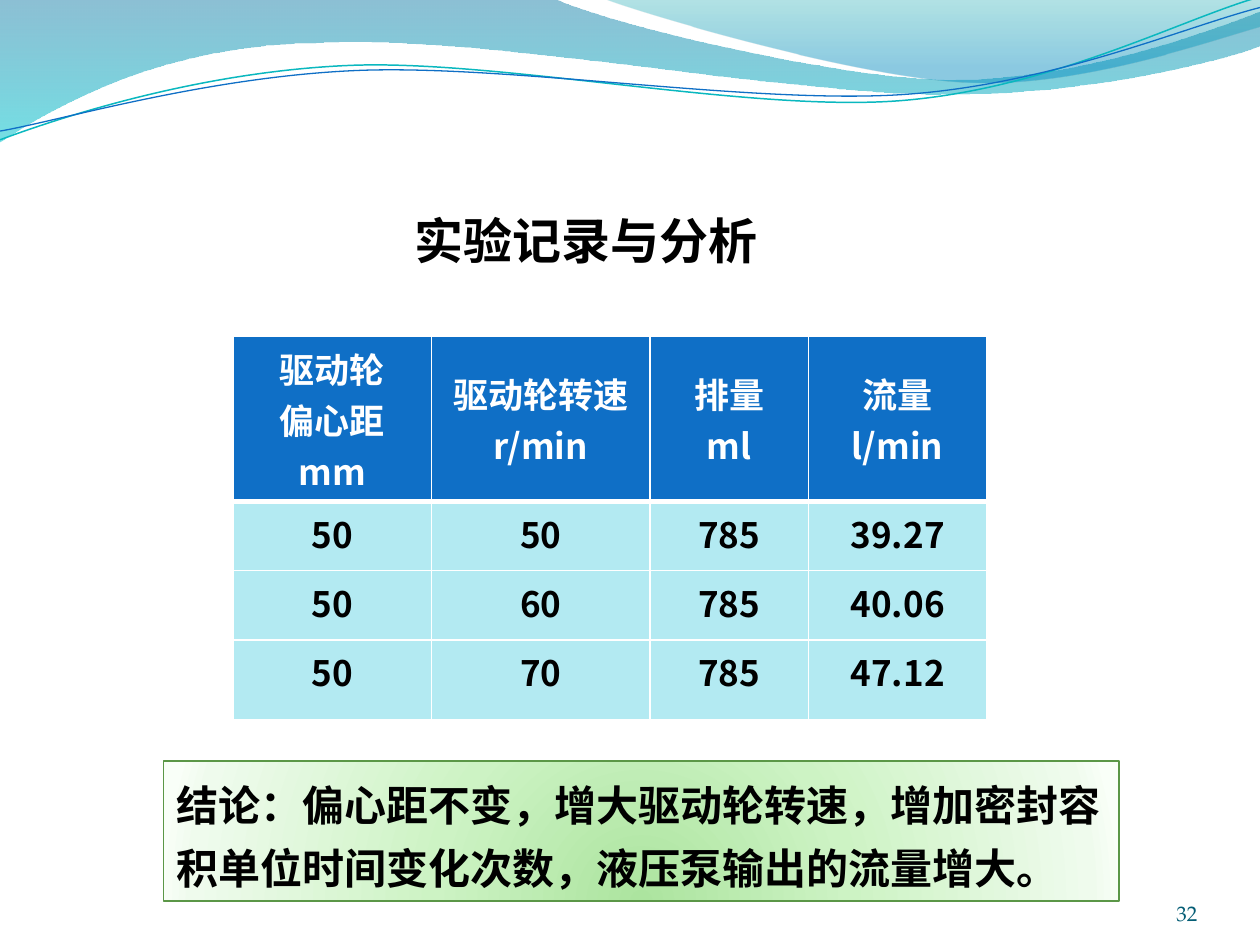
from dataclasses import dataclass
from math import cos, radians, sin

from lxml.etree import SubElement
from pptx import Presentation
from pptx.dml.color import RGBColor
from pptx.enum.shapes import MSO_SHAPE as SHAPE
from pptx.enum.text import MSO_ANCHOR as ANCHOR, MSO_AUTO_SIZE as AUTO, PP_ALIGN as ALIGN
from pptx.oxml.ns import qn
from pptx.util import Pt

# Content
TITLE = "实验记录与分析"
HEADER = ["驱动轮\n偏心距\nmm", "驱动轮转速r/min", "排量\nml", "流量\nl/min"]
RECORDS = [
    ["50", "50", "785", "39.27"],
    ["50", "60", "785", "40.06"],
    ["50", "70", "785", "47.12"],
]
CONCLUSION = "结论：偏心距不变，增大驱动轮转速，增加密封容积单位时间变化次数，液压泵输出的流量增大。"
PAGE = "32"


@dataclass(frozen=True)
class Theme:
    font: str = "Noto Sans CJK SC"
    page_font: str = "TeX Gyre Pagella"
    title: int = 28
    body: int = 24
    cell: int = 20
    page: int = 12
    black: str = "000000"
    white: str = "FFFFFF"
    blue: str = "0F6FC6"
    teal: str = "0AB8BF"
    pale: str = "B3EAF2"
    green: str = "5B9747"
    page_color: str = "045D75"


T = Theme()

# Waves in points: a start, then lines (2 numbers) or Bezier curves (6 numbers)
BANDS = [
    ([(0, -0.7), (316.8, -0.7), (342.7, 12.2, 478, 45.4, 545.8, 45.4),
      (614.2, 45.4, 689.8, 18.7, 720, 6.5), (720.7, 25.9),
      (707.8, 31.7, 626.4, 54.7, 537.1, 54), (447.8, 54, 275, 20.2, 185, 24.5),
      (92.9, 25.2, 33.1, 59.8, -0.7, 81.4)],
     [(0, "0074A1", 45), (100, "00C6CF", 55)]),
    ([(344.9, -0.7), (366.5, 7.9, 491, 44.6, 553.7, 46.8),
      (616.3, 49.7, 691.9, 23, 720, 15.1), (720, 0)],
     [(0, "00A1A9", 30), (80, "008BBF", 45)]),
]
TILT = -2.7
CURVES = [
    ([(0, 79.9), (34.6, 67, 113.8, 41, 199.4, 37.4), (284.4, 33.8, 427, 64.1, 513.4, 57.6),
      (599.8, 51.1, 675.4, 10.8, 718.6, -1.4)], (359.3, 41.4), T.teal, 0.85),
    ([(0, 74.9), (33.8, 69.1, 118.1, 43.9, 203.8, 40.3), (290.2, 36.7, 429.8, 59.8, 516.2, 54),
      (601.9, 48.2, 677.5, 15.1, 720, 4.3)], (359.6, 42.5), T.blue, 0.75),
]
GLOW = [(0, "ACE49F", 100), (43, "CDF3C4", 100), (93, "EFFBED", 100), (100, "F9FFF8", 100)]


def rgb(code):
    return RGBColor.from_string(code)


def add(parent, tag, **attrs):
    return SubElement(parent, qn(tag), {k: str(v) for k, v in attrs.items()})


def add_color(parent, code, alpha=100):
    clr = add(parent, "a:srgbClr", val=code)
    if alpha < 100:
        add(clr, "a:alpha", val=alpha * 1000)


def add_run(p, text, size, color, font=T.font, bold=True):
    r = p.add_run()
    r.text = text
    r.font.size, r.font.bold, r.font.name = Pt(size), bold, font
    r.font.color.rgb = rgb(color)
    add(r.font._element, "a:ea", typeface=font)


def gradient(sp, stops):
    """Replace the fill by a gradient and return its element."""
    sp.fill.background()
    old = sp._element.spPr.find(qn("a:noFill"))
    grad = old.makeelement(qn("a:gradFill"), {"rotWithShape": "1"})
    old.getparent().replace(old, grad)
    gs_list = add(grad, "a:gsLst")
    for pos, code, alpha in stops:
        add_color(add(gs_list, "a:gs", pos=pos * 1000), code, alpha)
    return grad


def level(segments, center, tilt):
    """Undo a tilt about the center, pair by pair."""
    c, n = cos(radians(-tilt)), sin(radians(-tilt))
    cx, cy = center
    result = []
    for seg in segments:
        turned = []
        for x, y in zip(seg[::2], seg[1::2]):
            dx, dy = x - cx, y - cy
            turned += [cx + dx * c - dy * n, cy + dx * n + dy * c]
        result.append(tuple(turned))
    return result


def add_wave(s, segments, close):
    """Build the outline through the end points, then bend its curved parts."""
    ends = [(Pt(seg[-2]), Pt(seg[-1])) for seg in segments]
    builder = s.shapes.build_freeform(*ends[0])
    builder.add_line_segments(ends[1:], close=close)
    sp = builder.convert_to_shape()
    sp.shadow.inherit = False
    lines = list(sp._element.spPr.iter(qn("a:lnTo")))
    for line, seg in zip(lines, segments[1:]):
        if len(seg) == 6:
            curve = line.makeelement(qn("a:cubicBezTo"), {})
            for x, y in zip(seg[::2], seg[1::2]):
                add(curve, "a:pt", x=Pt(x) - sp.left, y=Pt(y) - sp.top)
            line.getparent().replace(line, curve)
    return sp


def set_borders(cell, bottom):
    tc_pr = cell._tc.get_or_add_tcPr()
    sides = (("L", 1), ("R", 1), ("T", 1), ("B", bottom))
    for i, (side, width) in enumerate(sides):
        ln = add(tc_pr, f"a:ln{side}", w=Pt(width))
        add_color(add(ln, "a:solidFill"), T.white)
        tc_pr.insert(i, ln)


prs = Presentation()
prs.slide_width, prs.slide_height = Pt(720), Pt(540)
s = prs.slides.add_slide(prs.slide_layouts[5])

# Wave decoration
for segments, stops in BANDS:
    sp = add_wave(s, segments, True)
    add(gradient(sp, stops), "a:lin", ang=90 * 60000, scaled=0)
    sp.line.fill.background()
for segments, center, color, width in CURVES:
    sp = add_wave(s, level(segments, center, TILT), False)
    sp.rotation = TILT
    sp.fill.background()
    sp.line.color.rgb, sp.line.width = rgb(color), Pt(width)

# Title
title = s.shapes.title
title.left, title.top, title.width, title.height = Pt(229.7), Pt(116.6), Pt(213), Pt(41)
tf = title.text_frame
tf.word_wrap, tf.auto_size, tf.vertical_anchor = False, AUTO.NONE, ANCHOR.MIDDLE
p = tf.paragraphs[0]
p.alignment = ALIGN.LEFT
add_run(p, TITLE, T.title, T.black)

# Table of records
widths, heights = [113.2, 124.8, 90.6, 102], [88.6, 39.6, 39.6, 45.4]
table = s.shapes.add_table(len(heights), len(widths), Pt(133.4), Pt(192.2),
                           Pt(sum(widths)), Pt(sum(heights))).table
for col, width in zip(table.columns, widths):
    col.width = Pt(width)
for i, (row, texts) in enumerate(zip(table.rows, [HEADER] + RECORDS)):
    row.height = Pt(heights[i])
    head = i == 0
    for cell, text in zip(row.cells, texts):
        cell.fill.solid()
        cell.fill.fore_color.rgb = rgb(T.blue if head else T.pale)
        cell.vertical_anchor = ANCHOR.MIDDLE if head else ANCHOR.TOP
        set_borders(cell, 3 if head else 1)
        tf = cell.text_frame
        for n, line in enumerate(text.split("\n")):
            p = tf.add_paragraph() if n else tf.paragraphs[0]
            p.alignment = ALIGN.CENTER
            add_run(p, line, T.cell, T.white if head else T.black)

# Conclusion box
sp = s.shapes.add_shape(SHAPE.RECTANGLE, Pt(93.6), Pt(434.9), Pt(545.8), Pt(80))
glow = add(gradient(sp, GLOW), "a:path", path="circle")
add(glow, "a:fillToRect", l=50000, t=130000, r=50000, b=-30000)
sp.line.color.rgb, sp.line.width = rgb(T.green), Pt(0.75)
sp.shadow.inherit = False
tf = sp.text_frame
tf.word_wrap, tf.vertical_anchor = True, ANCHOR.TOP
p = tf.paragraphs[0]
p.alignment, p.line_spacing = ALIGN.LEFT, Pt(36)
add_run(p, CONCLUSION, T.body, T.black)

# Page number
tf = s.shapes.add_textbox(Pt(624.2), Pt(500.4), Pt(60), Pt(28.8)).text_frame
tf.word_wrap, tf.vertical_anchor = True, ANCHOR.BOTTOM
tf.margin_left = tf.margin_right = tf.margin_top = tf.margin_bottom = 0
p = tf.paragraphs[0]
p.alignment = ALIGN.RIGHT
add_run(p, PAGE, T.page, T.page_color, T.page_font, False)

prs.save("out.pptx")
